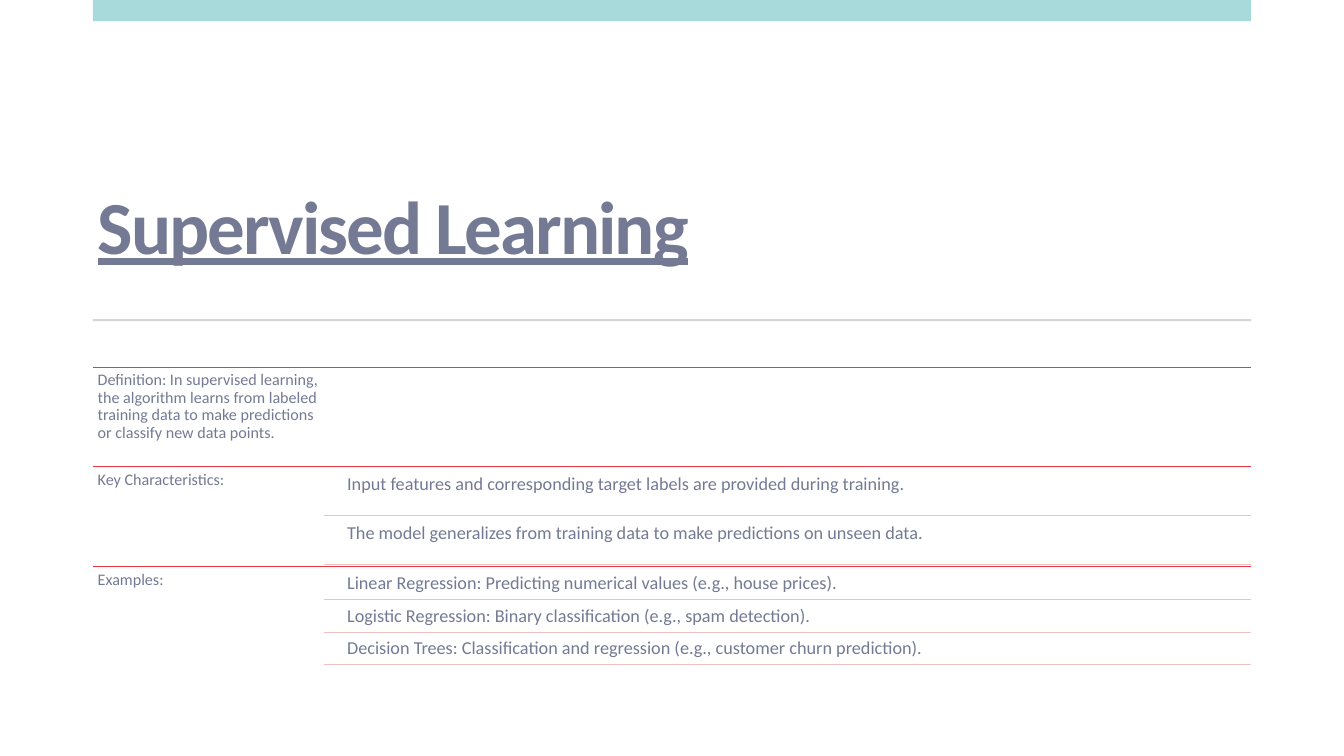
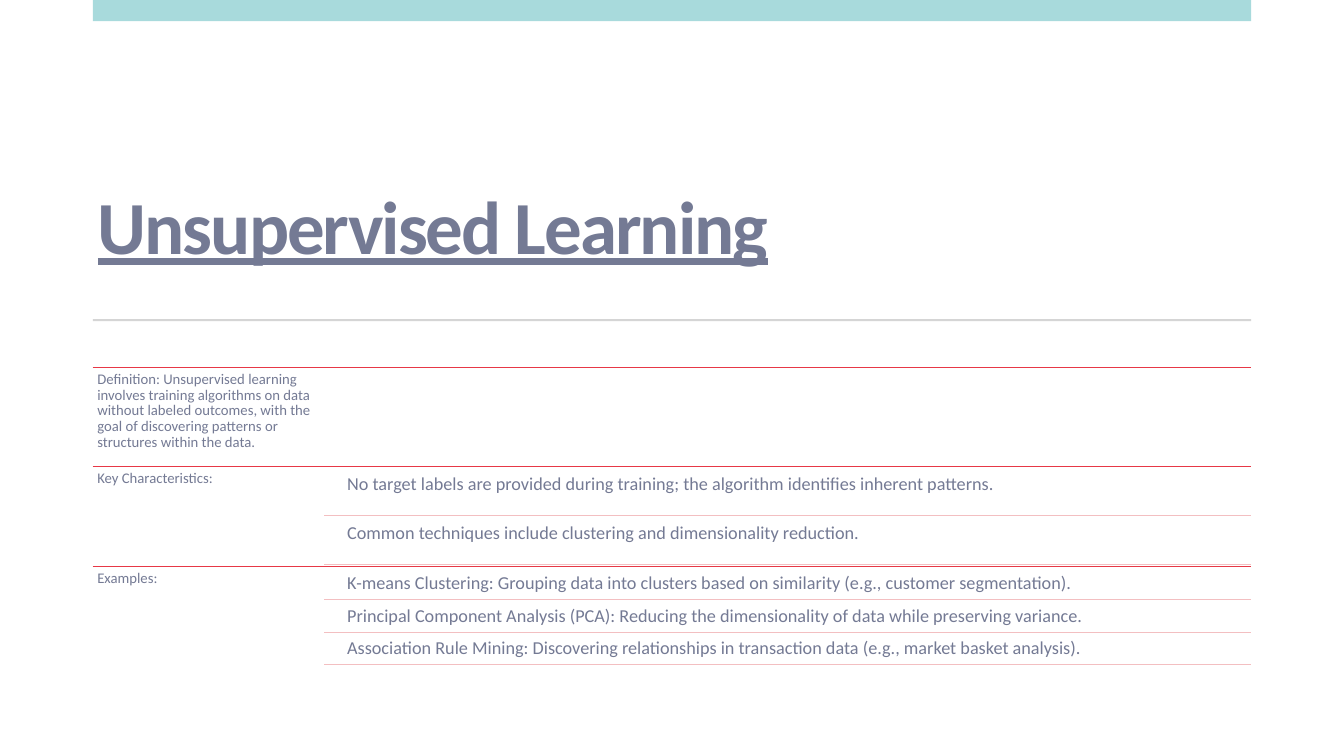
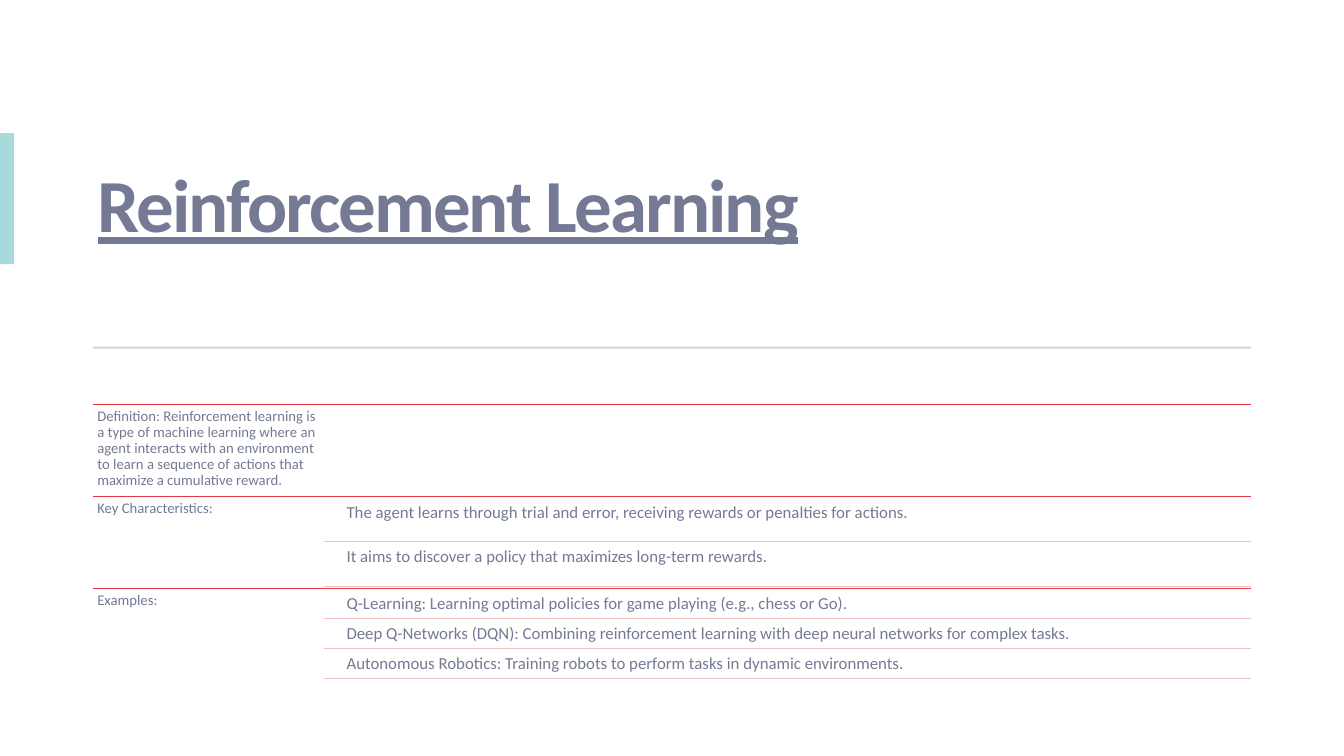
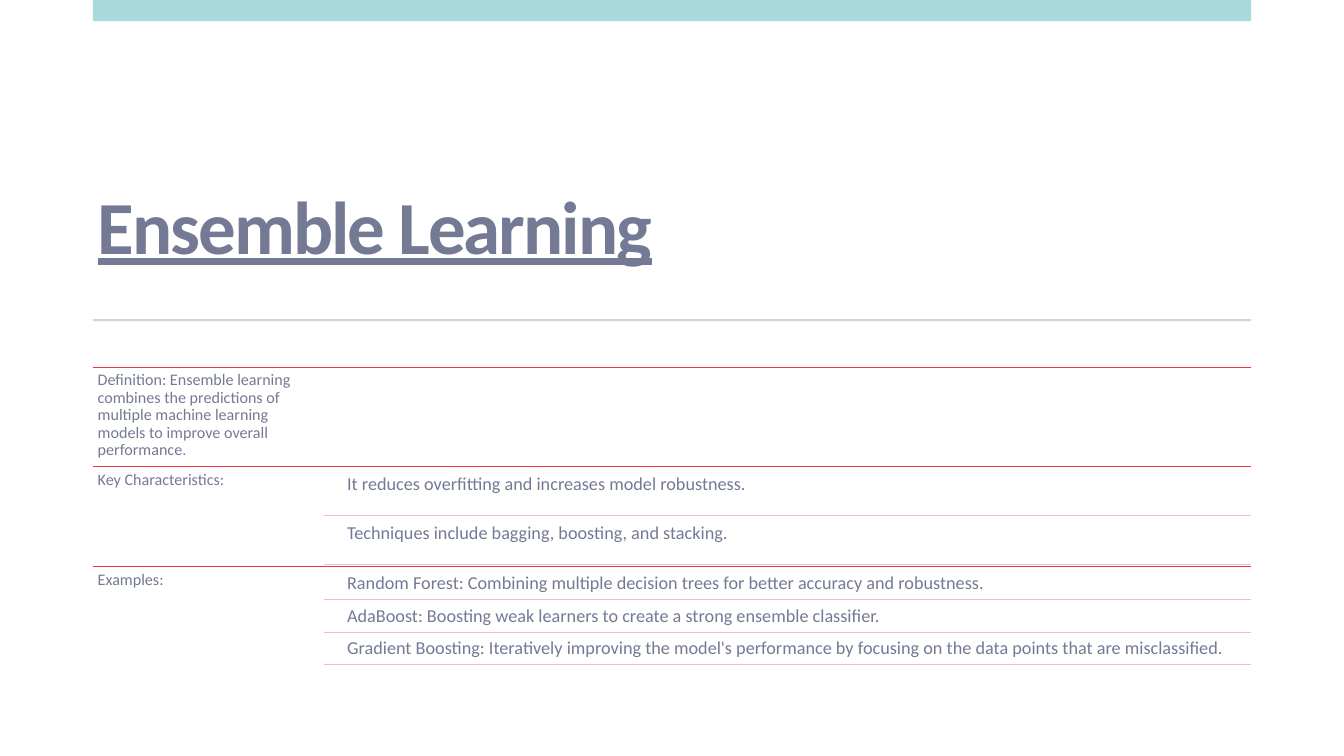
"""Build four slides that each define a family of machine learning."""
import pptx
import pptx.dml.color
import pptx.enum.shapes
import pptx.enum.text
import pptx.oxml.ns
import pptx.util
from lxml import etree

RGB = pptx.dml.color.RGBColor
ANCHOR = pptx.enum.text.MSO_ANCHOR

SLIDES = [
    {"title": "Supervised Learning", "layout": "top", "label_size": 23, "sections": [
        ("Definition: In supervised learning, the algorithm learns from labeled training data "
         "to make predictions or classify new data points.", []),
        ("Key Characteristics:", [
            "Input features and corresponding target labels are provided during training.",
            "The model generalizes from training data to make predictions on unseen data."]),
        ("Examples:", [
            "Linear Regression: Predicting numerical values (e.g., house prices).",
            "Logistic Regression: Binary classification (e.g., spam detection).",
            "Decision Trees: Classification and regression (e.g., customer churn prediction)."])]},
    {"title": "Unsupervised Learning", "layout": "top", "label_size": 21, "sections": [
        ("Definition: Unsupervised learning involves training algorithms on data without labeled "
         "outcomes, with the goal of discovering patterns or structures within the data.", []),
        ("Key Characteristics:", [
            "No target labels are provided during training; the algorithm identifies inherent patterns.",
            "Common techniques include clustering and dimensionality reduction."]),
        ("Examples:", [
            "K-means Clustering: Grouping data into clusters based on similarity "
            "(e.g., customer segmentation).",
            "Principal Component Analysis (PCA): Reducing the dimensionality of data "
            "while preserving variance.",
            "Association Rule Mining: Discovering relationships in transaction data "
            "(e.g., market basket analysis)."])]},
    {"title": "Reinforcement Learning", "layout": "side", "label_size": 21, "sections": [
        ("Definition: Reinforcement learning is a type of machine learning where an agent interacts "
         "with an environment to learn a sequence of actions that maximize a cumulative reward.", []),
        ("Key Characteristics:", [
            "The agent learns through trial and error, receiving rewards or penalties for actions.",
            "It aims to discover a policy that maximizes long-term rewards."]),
        ("Examples:", [
            "Q-Learning: Learning optimal policies for game playing (e.g., chess or Go).",
            "Deep Q-Networks (DQN): Combining reinforcement learning with deep neural networks "
            "for complex tasks.",
            "Autonomous Robotics: Training robots to perform tasks in dynamic environments."])]},
    {"title": "Ensemble Learning", "layout": "top", "label_size": 23, "sections": [
        ("Definition: Ensemble learning combines the predictions of multiple machine learning "
         "models to improve overall performance.", []),
        ("Key Characteristics:", [
            "It reduces overfitting and increases model robustness.",
            "Techniques include bagging, boosting, and stacking."]),
        ("Examples:", [
            "Random Forest: Combining multiple decision trees for better accuracy and robustness.",
            "AdaBoost: Boosting weak learners to create a strong ensemble classifier.",
            "Gradient Boosting: Iteratively improving the model's performance by focusing on "
            "the data points that are misclassified."])]},
]

SLATE, AQUA, GREY = RGB(0x74, 0x7A, 0x94), RGB(0xA8, 0xDA, 0xDC), RGB(0xD5, 0xD5, 0xD5)
RED, PINK = RGB(0xE7, 0x38, 0x46), RGB(0xF3, 0xBF, 0xC1)

WIDTH, HEIGHT = 26.66, 15
LEFT, RIGHT = 1.84, 24.82
SPAN = RIGHT - LEFT
LABEL_WIDTH = SPAN / 5
ITEM_LINE_LEFT = LEFT + LABEL_WIDTH
ITEM_LEFT = ITEM_LINE_LEFT + 0.34
GAP_SHARE = 0.05

LAYOUTS = {
    "top": {"title": (LEFT, 1.1, SPAN, 4.32), "anchor": ANCHOR.BOTTOM,
            "accent": (LEFT, 0, SPAN, 0.42), "rule": (LEFT, 6.33, SPAN, 0.04),
            "top": 7.28, "row": 1.98, "item_size": 26, "item_inset": 0.11},
    "side": {"title": (LEFT, 2.06, SPAN, 4.16), "anchor": ANCHOR.MIDDLE,
             "accent": (0, 2.64, 0.28, 2.6), "rule": (LEFT, 6.88, SPAN, 0.04),
             "top": 8.03, "row": 1.82, "item_size": 24, "item_inset": 0.1},
}
TITLE_FONT = {"size": pptx.util.Pt(107), "bold": True, "underline": True}


def inches(values):
    return [pptx.util.Inches(v) for v in values]


def assign(obj, values):
    for name, value in values.items():
        setattr(obj, name, value)


def write(sp, text, font, frame):
    tf = sp.text_frame
    assign(tf, {"word_wrap": True, "auto_size": pptx.enum.text.MSO_AUTO_SIZE.NONE, **frame})
    p = tf.paragraphs[0]
    assign(p, {"alignment": pptx.enum.text.PP_ALIGN.LEFT, "line_spacing": 0.9})
    r = p.add_run()
    r.text = text
    assign(r.font, {"name": "Calibri", **font})
    r.font.color.rgb = SLATE
    return p, r


def add_title(s, text, layout):
    sp = s.shapes.title
    assign(sp, dict(zip(("left", "top", "width", "height"), inches(layout["title"]))))
    p, r = write(sp, text, TITLE_FONT, {"vertical_anchor": layout["anchor"]})
    p.space_after = pptx.util.Pt(6)
    r.font._element.set("spc", "-290")


def add_text(s, box, text, size, inset):
    margins = {f"margin_{side}": pptx.util.Inches(inset)
               for side in ("left", "top", "right", "bottom")}
    write(s.shapes.add_textbox(*inches(box)), text, {"size": pptx.util.Pt(size)},
          {"vertical_anchor": ANCHOR.TOP, **margins})


def add_bar(s, box, color):
    sp = s.shapes.add_shape(pptx.enum.shapes.MSO_SHAPE.RECTANGLE, *inches(box))
    sp.shadow.inherit = False
    sp.fill.solid()
    sp.fill.fore_color.rgb = color
    sp.line.fill.background()


def add_line(s, left, y, color):
    line = s.shapes.add_connector(pptx.enum.shapes.MSO_CONNECTOR.STRAIGHT,
                                  *inches((left, y, RIGHT, y)))
    line.line.color.rgb = color
    line.line.width = pptx.util.Pt(1)
    etree.SubElement(line._element.spPr, pptx.oxml.ns.qn("a:effectLst"))


def add_section(s, top, label, items, label_size, layout):
    row = layout["row"]
    add_line(s, LEFT, top, RED)
    add_text(s, (LEFT, top, LABEL_WIDTH, row), label, label_size,
             0.1 if label_size > 21 else 0.09)
    count = len(items)
    height = row / (count + GAP_SHARE * (count + 1))
    for i, item in enumerate(items, 1):
        bottom = top + i * height * (1 + GAP_SHARE)
        add_text(s, (ITEM_LEFT, bottom - height, RIGHT - ITEM_LEFT, height), item,
                 layout["item_size"], layout["item_inset"])
        add_line(s, ITEM_LINE_LEFT, bottom, PINK)


def add_slide(prs, content):
    s = prs.slides.add_slide(prs.slide_layouts[5])
    layout = LAYOUTS[content["layout"]]
    add_title(s, content["title"], layout)
    add_bar(s, layout["accent"], AQUA)
    add_bar(s, layout["rule"], GREY)
    for i, (label, items) in enumerate(content["sections"]):
        add_section(s, layout["top"] + i * layout["row"], label, items,
                    content["label_size"], layout)


def main():
    prs = pptx.Presentation()
    prs.slide_width, prs.slide_height = inches((WIDTH, HEIGHT))
    for content in SLIDES:
        add_slide(prs, content)
    prs.save("out.pptx")


if __name__ == "__main__":
    main()
